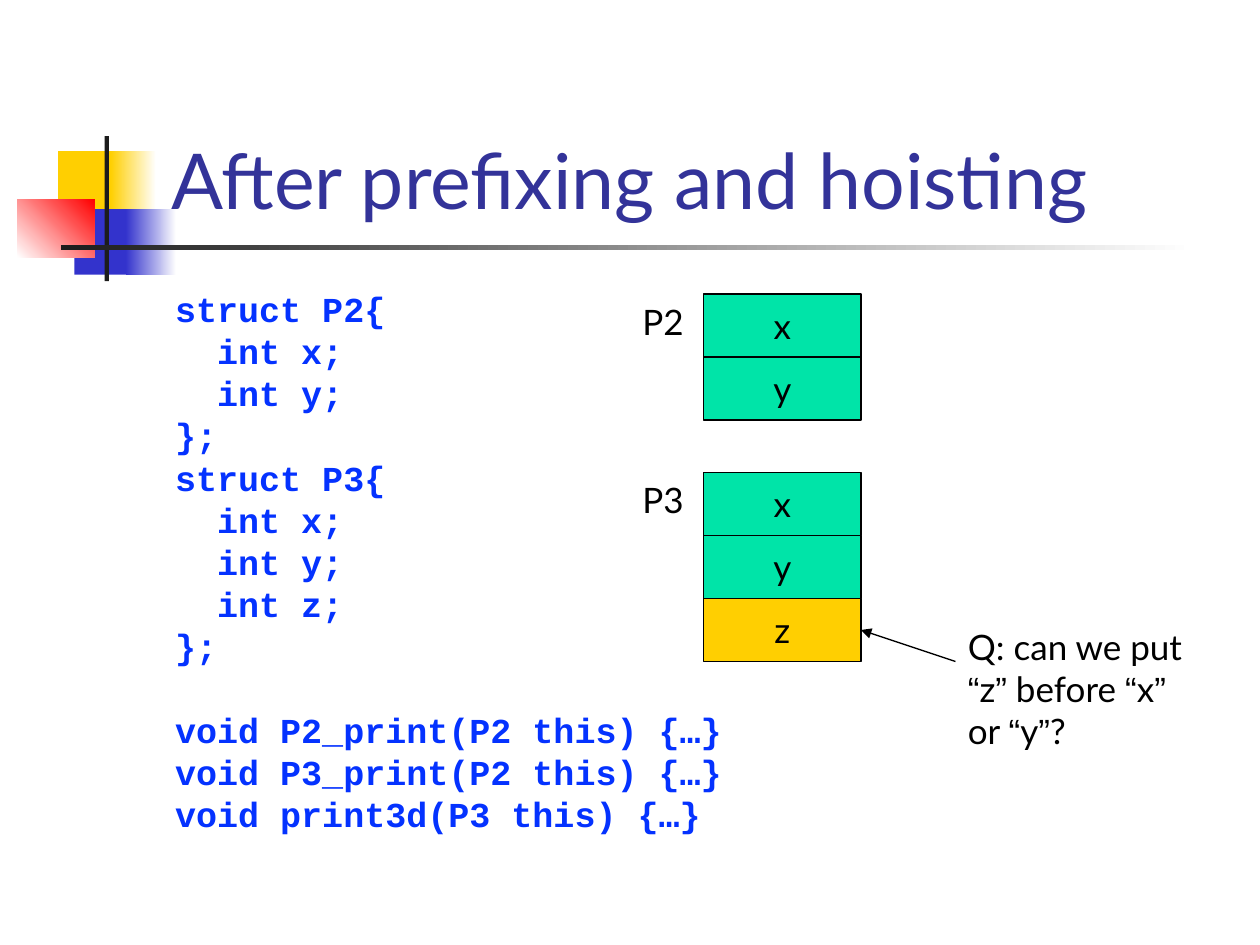
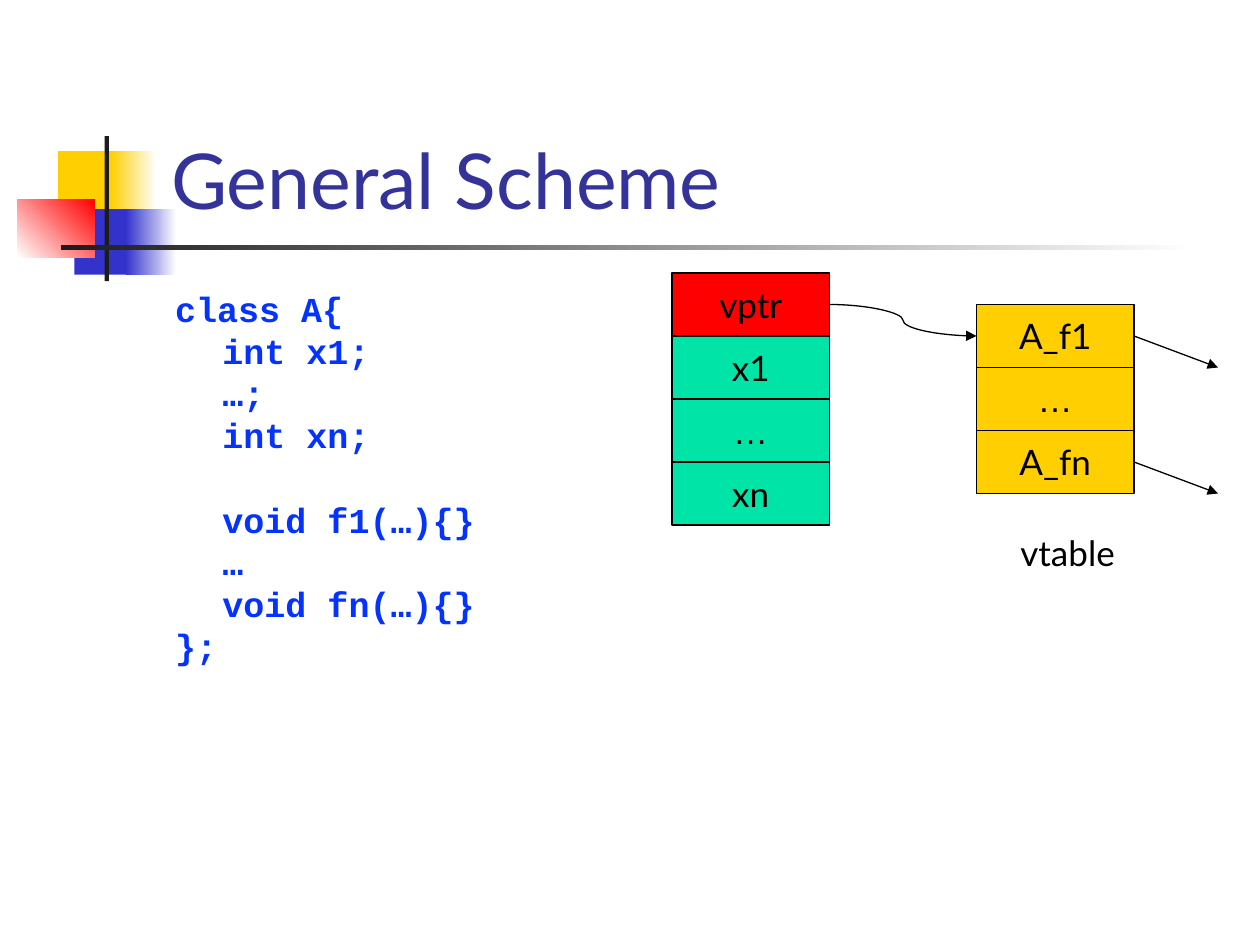
import itertools

import lxml.etree
import pptx
import pptx.dml.color
import pptx.enum.shapes
import pptx.enum.text
import pptx.oxml.ns
import pptx.util

Pt = pptx.util.Pt
ANCHOR = pptx.enum.text.MSO_ANCHOR
ALIGN = pptx.enum.text.PP_ALIGN
CONNECTOR = pptx.enum.shapes.MSO_CONNECTOR
RECTANGLE = pptx.enum.shapes.MSO_SHAPE.RECTANGLE

BODY_FONT, SYMBOL_FONT, CODE_FONT = "Lato", "Arial", "Courier New"
SYMBOLS = "“”…"
BLACK, WHITE, CHARCOAL = "000000", "FFFFFF", "1C1C1C"
YELLOW, GREEN, RED, BLUE = "FFCF01", "00E4A8", "FF0000", "3333CC"
TITLE_COLOUR, CODE_COLOUR = "333399", "0432FF"

CELL_WIDTH, CELL_HEIGHT = 90, 36
CODE_LINE = 24

# left, top, width, height, colours (two make a gradient), angle
MOTIF = [
    (33.2, 86.4, 34.5, 37.4, [YELLOW], 0),
    (63.3, 86.4, 25.9, 37.4, [YELLOW, WHITE], 0),
    (42.5, 119.5, 33.1, 37.4, [BLUE], 0),
    (72, 119.5, 28.8, 37.4, [BLUE, WHITE], 0),
    (10, 113.8, 44, 33.4, [WHITE, RED], 45),
    (59.8, 77.8, 2.4, 82.8, [CHARCOAL], 0),
    (34.6, 140.2, 648, 2.4, [CHARCOAL, WHITE], 0),
]


def colour(hex_string):
    return pptx.dml.color.RGBColor.from_string(hex_string)


def points(*lengths):
    return [Pt(length) for length in lengths]


def add_span(para, text, font, size, ink, bold=False):
    span = para.add_run()
    span.text = text
    span.font.name = font
    span.font.size = Pt(size)
    span.font.bold = bold
    span.font.color.rgb = colour(ink)


def add_words(para, text):
    """Add label text, giving quotes and ellipses the symbol font."""
    for is_symbol, letters in itertools.groupby(text, lambda letter: letter in SYMBOLS):
        add_span(para, "".join(letters), SYMBOL_FONT if is_symbol else BODY_FONT, 20, BLACK)


def add_box(slide, left, top, width, height, fills, angle=0):
    """Add an unlined rectangle with a plain or two-colour gradient fill."""
    box = slide.shapes.add_shape(RECTANGLE, *points(left, top, width, height))
    box.shadow.inherit = False
    box.line.fill.background()
    if len(fills) == 1:
        box.fill.solid()
        box.fill.fore_color.rgb = colour(fills[0])
    else:
        box.fill.gradient()
        box.fill.gradient_angle = angle
        for position, (stop, fill) in enumerate(zip(box.fill.gradient_stops, fills)):
            stop.position = position
            stop.color.rgb = colour(fill)
    return box


def add_text_frame(slide, left, top, width, height, anchor=ANCHOR.TOP):
    frame = slide.shapes.add_textbox(*points(left, top, width, height)).text_frame
    frame.word_wrap = True
    frame.vertical_anchor = anchor
    return frame


def add_label(slide, text, left, top, width, height=31):
    add_words(add_text_frame(slide, left, top, width, height).paragraphs[0], text)


def add_memory_cells(slide, left, top, cells):
    """Stack outlined cells, given as (text, fill), from the top down."""
    for row, (text, fill) in enumerate(cells):
        box = add_box(slide, left, top + row * CELL_HEIGHT, CELL_WIDTH, CELL_HEIGHT, [fill])
        box.line.color.rgb = colour(BLACK)
        box.line.width = Pt(0.75)
        box.text_frame.word_wrap = False
        box.text_frame.vertical_anchor = ANCHOR.MIDDLE
        para = box.text_frame.paragraphs[0]
        para.alignment = ALIGN.CENTER
        add_words(para, text)


def add_arrow(slide, start, end, kind=CONNECTOR.STRAIGHT):
    arrow = slide.shapes.add_connector(kind, *points(*start, *end))
    arrow.line.color.rgb = colour(BLACK)
    arrow.line.width = Pt(0.75)
    qn = pptx.oxml.ns.qn
    properties = arrow._element.spPr
    lxml.etree.SubElement(properties.find(qn("a:ln")), qn("a:tailEnd"), type="triangle")
    lxml.etree.SubElement(properties, qn("a:effectLst"))


def add_code(slide, blocks, indent):
    """Add code blocks one line apart; lines are (depth, text)."""
    frame = add_text_frame(slide, 93, 161, 612, 324)
    para = frame.paragraphs[0]
    for block_number, block in enumerate(blocks):
        for line_number, (depth, text) in enumerate(block):
            if block_number or line_number:
                para = frame.add_paragraph()
            para.line_spacing = Pt(CODE_LINE)
            if block_number and not line_number:
                para.space_before = Pt(CODE_LINE)
            if depth:
                para._p.get_or_add_pPr().set("marL", str(Pt(depth * indent)))
            add_span(para, text, CODE_FONT, 20, CODE_COLOUR, bold=True)


def add_titled_slide(deck, title):
    slide = deck.slides.add_slide(deck.slide_layouts[6])
    for *place, fills, angle in MOTIF:
        add_box(slide, *place, fills, angle)
    frame = add_text_frame(slide, 90.7, 16.6, 613.4, 115.2, ANCHOR.BOTTOM)
    add_span(frame.paragraphs[0], title, BODY_FONT, 44, TITLE_COLOUR)
    return slide


def add_hoisting_slide(deck):
    slide = add_titled_slide(deck, "After prefixing and hoisting")
    structs = [
        (0, "struct P2{"), (1, "int x;"), (1, "int y;"), (0, "};"),
        (0, "struct P3{"), (1, "int x;"), (1, "int y;"), (1, "int z;"), (0, "};"),
    ]
    functions = [
        (0, "void P2_print(P2 this) {…}"),
        (0, "void P3_print(P2 this) {…}"),
        (0, "void print3d(P3 this) {…}"),
    ]
    add_code(slide, [structs, functions], indent=24)
    shared_fields = [("x", GREEN), ("y", GREEN)]
    for name, top, fields in [
        ("P2", 168, shared_fields),
        ("P3", 270, shared_fields + [("z", YELLOW)]),
    ]:
        add_memory_cells(slide, 402, top, fields)
        add_label(slide, name, 360, top, 48)
    add_label(slide, "Q: can we put “z” before “x” or “y”?", 546, 354, 138, 103)
    add_arrow(slide, (546, 378), (492, 360))


def add_scheme_slide(deck):
    slide = add_titled_slide(deck, "General Scheme")
    fields = [(0, "class A{"), (1, "int x1;"), (1, "…;"), (1, "int xn;")]
    methods = [(1, "void f1(…){}"), (1, "…"), (1, "void fn(…){}"), (0, "};")]
    add_code(slide, [fields, methods], indent=27)

    object_left, object_top = 384, 156
    table_left, table_top = 558, 174
    add_memory_cells(slide, object_left, object_top,
                     [("vptr", RED), ("x1", GREEN), ("…", GREEN), ("xn", GREEN)])
    add_memory_cells(slide, table_left, table_top,
                     [("A_f1", YELLOW), ("…", YELLOW), ("A_fn", YELLOW)])
    add_label(slide, "vtable", 576, 300, 108)

    half_cell = CELL_HEIGHT / 2
    add_arrow(slide, (object_left + CELL_WIDTH, object_top + half_cell),
              (table_left, table_top + half_cell), CONNECTOR.CURVE)
    table_right = table_left + CELL_WIDTH
    for row in (0, 2):
        middle = table_top + row * CELL_HEIGHT + half_cell
        add_arrow(slide, (table_right, middle), (table_right + 48, middle + 18))


def main():
    deck = pptx.Presentation()
    deck.slide_width, deck.slide_height = points(720, 540)
    add_hoisting_slide(deck)
    add_scheme_slide(deck)
    deck.save("out.pptx")


if __name__ == "__main__":
    main()
